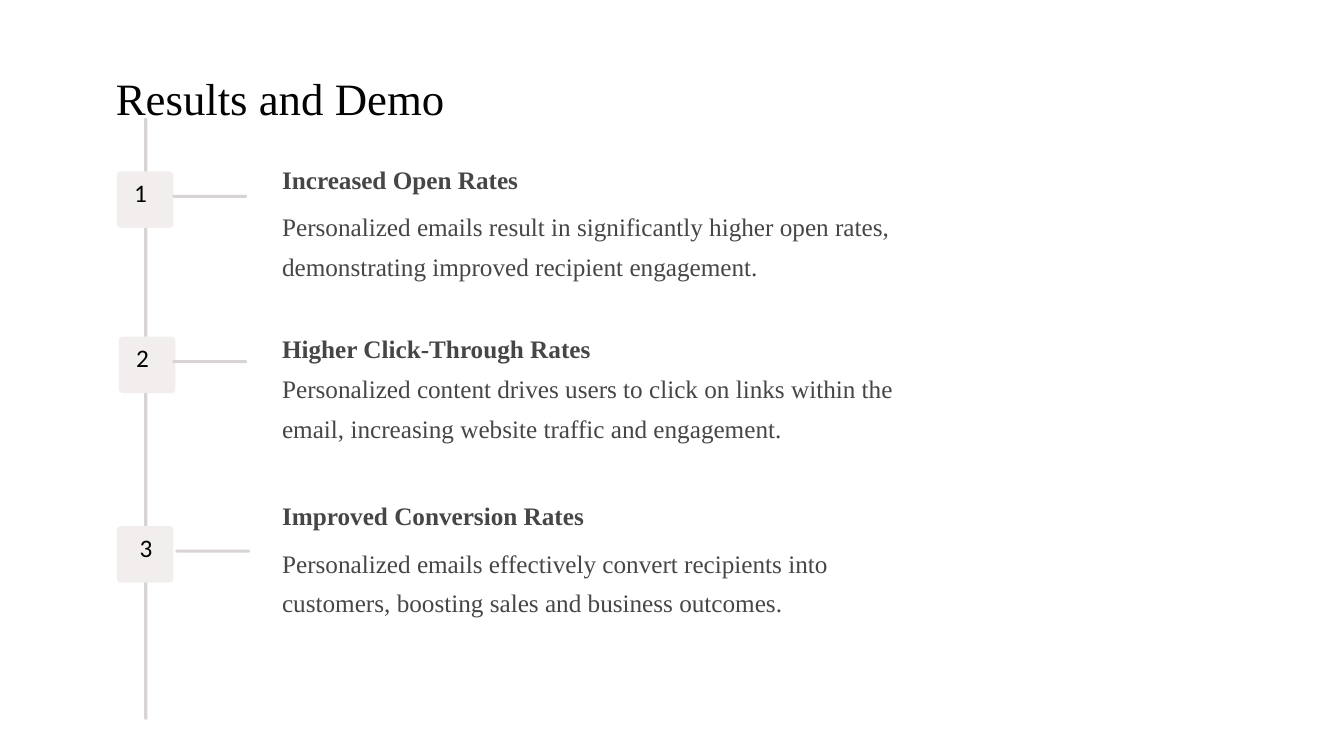
from dataclasses import dataclass

from pptx import Presentation
from pptx import util as u
from pptx.dml import color
from pptx.enum import shapes, text


@dataclass(frozen=True)
class Theme:
    title: str = "030303"
    prose: str = "464646"
    number: str = "000000"
    line: str = "D8D4D4"
    badge: str = "F2EEEE"
    serif: str = "Times New Roman"
    sans: str = "Calibri"
    title_size: int = 32
    text_size: int = 18
    title_leading: float = 55.5
    heading_leading: float = 27.5
    body_leading: float = 28.5


def write(frame, words, font, size, ink, bold=False, leading=None):
    frame.word_wrap = True
    frame.vertical_anchor = text.MSO_ANCHOR.TOP
    paragraph = frame.paragraphs[0]
    paragraph.alignment = text.PP_ALIGN.LEFT
    if leading:
        paragraph.line_spacing = u.Pt(leading)
    run = paragraph.add_run()
    run.text = words
    run.font.name = font
    run.font.size = u.Pt(size)
    run.font.bold = bold
    run.font.color.rgb = color.RGBColor.from_string(ink)


class TimelineSlide:
    GRID = 100

    def __init__(self, deck, theme):
        self.theme = theme
        self.column = deck.slide_width / self.GRID
        self.row = deck.slide_height / self.GRID
        self.slide = deck.slides.add_slide(deck.slide_layouts[6])

    def place(self, left, top, width, height):
        return (round(left * self.column), round(top * self.row),
                round(width * self.column), round(height * self.row))

    def label(self, words, area, **style):
        box = self.slide.shapes.add_textbox(*self.place(*area))
        write(box.text_frame, words, self.theme.serif, **style)
        box.text_frame.auto_size = text.MSO_AUTO_SIZE.SHAPE_TO_FIT_TEXT

    def rounded(self, area, fill, rounding):
        block = self.slide.shapes.add_shape(
            shapes.MSO_SHAPE.ROUNDED_RECTANGLE, *self.place(*area))
        block.adjustments[0] = rounding
        block.fill.solid()
        block.fill.fore_color.rgb = color.RGBColor.from_string(fill)
        block.line.fill.background()
        block.shadow.inherit = False
        return block

    def bar(self, *area):
        self.rounded(area, self.theme.line, 0.5)

    def badge(self, number, left, top, indent):
        frame = self.rounded((left, top, 4.2, 7.47), self.theme.badge, 0.07).text_frame
        write(frame, number, self.theme.sans, self.theme.text_size, self.theme.number)
        frame.margin_left = round(indent * self.column)

    def title(self, words):
        self.label(words, (7.88, 5.47, 50, 10.8), size=self.theme.title_size,
                   ink=self.theme.title, leading=self.theme.title_leading)

    def result(self, heading, heading_top, body, body_top):
        style = dict(size=self.theme.text_size, ink=self.theme.prose)
        self.label(heading, (20.25, heading_top, 50, 6.13), bold=True,
                   leading=self.theme.heading_leading, **style)
        self.label(body, (20.25, body_top, 50, 11.73),
                   leading=self.theme.body_leading, **style)


MILESTONES = [
    ("1", 8.7, 22.67, 1.2, 12.83),
    ("2", 8.85, 44.53, 1.2, 12.83),
    ("3", 8.7, 69.6, 1.6, 13.05),
]
RESULTS = [
    ("Increased Open Rates", 20,
     "Personalized emails result in significantly higher open rates, "
     "demonstrating improved recipient engagement.", 26),
    ("Higher Click-Through Rates", 42.4,
     "Personalized content drives users to click on links within the email, "
     "increasing website traffic and engagement.", 47.47),
    ("Improved Conversion Rates", 64.4,
     "Personalized emails effectively convert recipients into customers, "
     "boosting sales and business outcomes.", 70.53),
]


def main():
    deck = Presentation()
    deck.slide_width = u.Inches(13.33)
    deck.slide_height = u.Inches(7.5)
    timeline = TimelineSlide(deck, Theme())
    timeline.title("Results and Demo")
    timeline.bar(10.73, 15.6, 0.23, 79.6)
    for number, left, top, indent, branch_left in MILESTONES:
        timeline.badge(number, left, top, indent)
        timeline.bar(branch_left, top + 3.1, 5.55, 0.4)
    for result in RESULTS:
        timeline.result(*result)
    deck.save("out.pptx")


if __name__ == "__main__":
    main()
